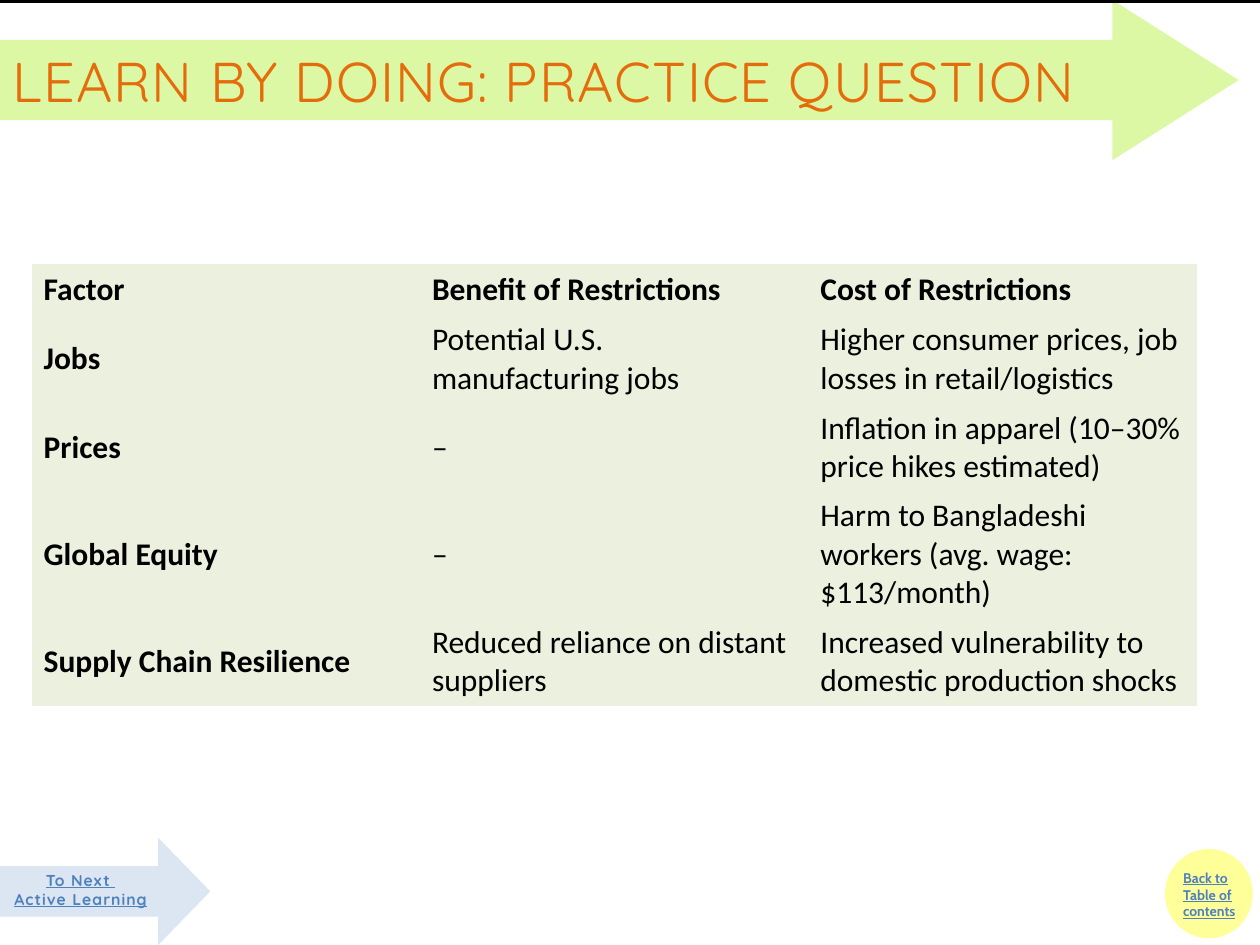
from lxml import etree
from pptx import Presentation
from pptx.dml.color import RGBColor
from pptx.enum.shapes import MSO_SHAPE
from pptx.enum.text import MSO_ANCHOR, PP_ALIGN
from pptx.oxml.ns import qn
from pptx.util import Cm, Pt

ARROW, ELLIPSE, BAR = MSO_SHAPE.RIGHT_ARROW, MSO_SHAPE.OVAL, MSO_SHAPE.RECTANGLE
MIDDLE, TOP = MSO_ANCHOR.MIDDLE, MSO_ANCHOR.TOP
LEFT, CENTER = PP_ALIGN.LEFT, PP_ALIGN.CENTER
LINK_COLOR = "4F81BD"

FACTORS = [
    ("Factor", "Benefit of Restrictions", "Cost of Restrictions"),
    ("Jobs", "Potential U.S. manufacturing jobs",
     "Higher consumer prices, job losses in retail/logistics"),
    ("Prices", "–", "Inflation in apparel (10–30% price hikes estimated)"),
    ("Global Equity", "–", "Harm to Bangladeshi workers (avg. wage: $113/month)"),
    ("Supply Chain Resilience", "Reduced reliance on distant suppliers",
     "Increased vulnerability to domestic production shocks"),
]
ROW_HEIGHTS = [1.02, 1.78, 1.78, 2.54, 1.78]


def rgb(value):
    """Turn a hex string into a colour."""
    return RGBColor.from_string(value)


def add_plain_shape(slide, preset, box, color, line_width=None, adjustments=()):
    """Add a flat preset shape, outlined in its own colour if a width is given."""
    shape = slide.shapes.add_shape(preset, *map(Cm, box))
    shape.shadow.inherit = False
    shape.fill.solid()
    shape.fill.fore_color.rgb = rgb(color)
    if line_width:
        shape.line.color.rgb = rgb(color)
        shape.line.width = Pt(line_width)
    else:
        shape.line.fill.background()
    for index, adjustment in enumerate(adjustments):
        shape.adjustments[index] = adjustment
    return shape


def write_text(frame, text, font, size, color, bold=False, underline=False,
               align=LEFT, spacing=None):
    """Write text into a frame and format all its runs."""
    frame.text = text
    for paragraph in frame.paragraphs:
        paragraph.alignment = align
        for run in paragraph.runs:
            run.font.name = font
            run.font.size = Pt(size)
            run.font.color.rgb = rgb(color)
            run.font.bold = bold
            run.font.underline = underline
            if spacing:
                run.font._element.set("spc", str(round(spacing * 100)))


def add_label(slide, box, text, wrap=True, **style):
    """Add an underlined bold label in a text box."""
    frame = slide.shapes.add_textbox(*map(Cm, box)).text_frame
    frame.word_wrap = wrap
    write_text(frame, text, color=LINK_COLOR, bold=True, underline=True, **style)


def add_title_banner(slide, box):
    """Place the title on a translucent arrow."""
    title = slide.shapes.title
    banner = add_plain_shape(slide, ARROW, box, "CBF577", adjustments=(0.5, 0.787))
    color = banner.fill._xPr.find(qn("a:solidFill"))[0]
    etree.SubElement(color, qn("a:alpha")).set("val", "66000")
    title._element.addprevious(banner._element)
    title.left, title.top, title.width, title.height = map(Cm, box)
    frame = title.text_frame
    frame.word_wrap = True
    frame.vertical_anchor = MIDDLE
    write_text(frame, "LEARN BY DOING: PRACTICE QUESTION", "Quicksand", 32,
               "E46C0A", spacing=0.6)


def add_contents_button(slide, box):
    """Add the round button that points back to the contents."""
    left, top, width, height = box
    add_plain_shape(slide, ELLIPSE, box, "FFFF99", line_width=2)
    add_label(slide, (left + 0.08, top + 0.25, width + 0.13, height),
              "Back to Table of contents", font="Cabin", size=8)


def add_next_button(slide, box):
    """Add the arrow button that points to the next activity."""
    left, top, width, height = box
    add_plain_shape(slide, ARROW, box, "DCE6F2", adjustments=(0.472, 0.486))
    add_label(slide, (left, top + 0.53, width - 0.99, height / 2),
              "To Next \nActive Learning", wrap=False, font="Quicksand", size=9,
              align=CENTER, spacing=0.6)


def add_factor_table(slide, box):
    """Add the table that weighs benefits against costs for each factor."""
    table = slide.shapes.add_table(len(FACTORS), len(FACTORS[0]), *map(Cm, box)).table
    for column in table.columns:
        column.width = Cm(box[2] / len(FACTORS[0]))
    for row_index, (row, height) in enumerate(zip(FACTORS, ROW_HEIGHTS)):
        table.rows[row_index].height = Cm(height)
        for column_index, text in enumerate(row):
            cell = table.cell(row_index, column_index)
            cell.fill.solid()
            cell.fill.fore_color.rgb = rgb("EBF1DE")
            cell.vertical_anchor = MIDDLE
            cell.margin_left = cell.margin_right = Cm(0.24)
            cell.margin_top = cell.margin_bottom = Cm(0.1)
            write_text(cell.text_frame, text, "Calibri", 18, "000000",
                       bold=row_index == 0 or column_index == 0)
    borderless = table._tbl.tblPr.find(qn("a:tableStyleId"))
    borderless.text = "{2D5ABB26-0587-4C30-8999-92F81FD0307C}"


def main():
    """Build and save the slide."""
    presentation = Presentation()
    presentation.slide_width, presentation.slide_height = Cm(25.4), Cm(19.05)
    slide = presentation.slides.add_slide(presentation.slide_layouts[5])
    add_title_banner(slide, (0, 0, 24.97, 3.23))
    add_contents_button(slide, (23.52, 17.15, 1.7, 1.73))
    add_next_button(slide, (0, 16.89, 4.24, 2.16))
    add_factor_table(slide, (0.64, 5.33, 23.49, sum(ROW_HEIGHTS)))
    add_plain_shape(slide, BAR, (0, 0, 25.4, 0.05), "000000", line_width=0.75)
    presentation.save("out.pptx")


if __name__ == "__main__":
    main()
